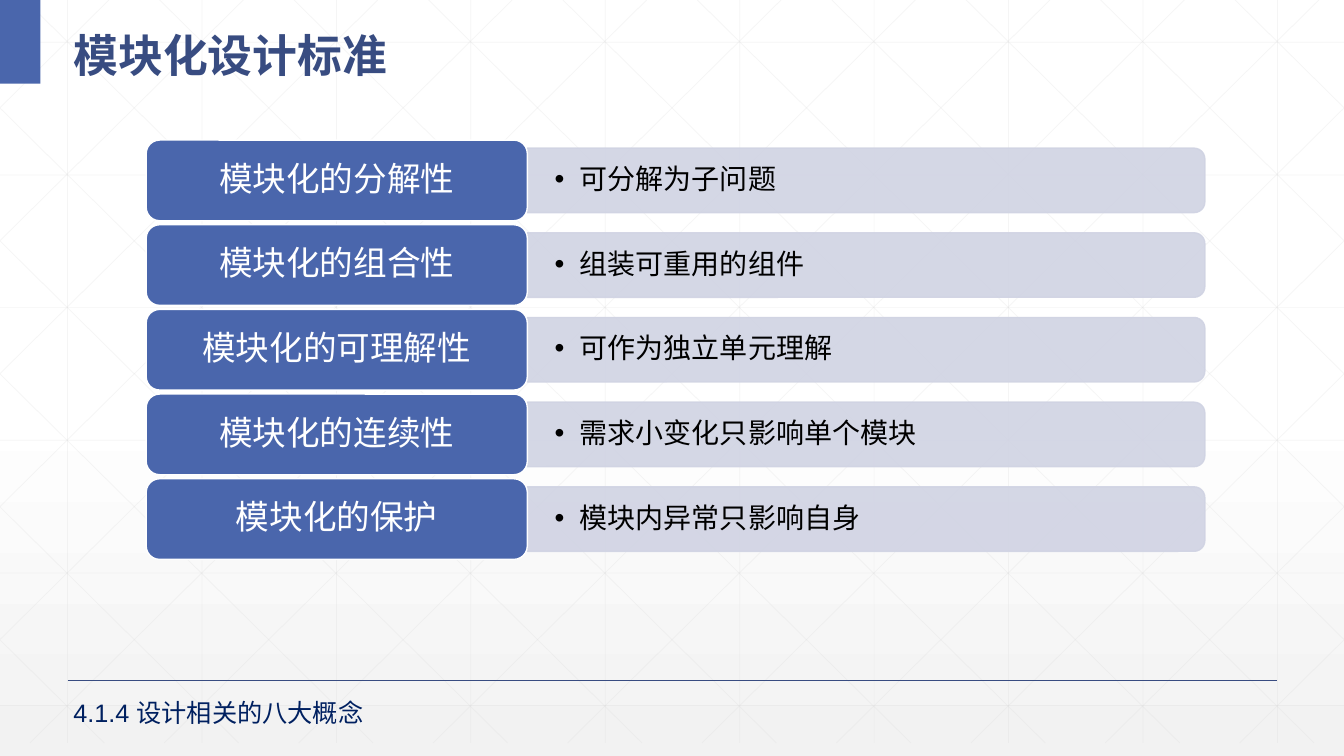
"""Build the slide on modular design criteria."""
from copy import deepcopy

from lxml import etree
from pptx import Presentation
from pptx.dml.color import RGBColor
from pptx.enum import shapes, text
from pptx.oxml.ns import qn
from pptx.util import Inches, Pt

WHITE = RGBColor(0xFF, 0xFF, 0xFF)
BLACK = RGBColor(0x00, 0x00, 0x00)
PALE_GREY = RGBColor(0xF2, 0xF2, 0xF2)
GRID_GREY = RGBColor(0xD9, 0xD9, 0xD9)
BLUE = RGBColor(0x4A, 0x66, 0xAC)
DARK_BLUE = RGBColor(0x38, 0x4C, 0x81)
NAVY = RGBColor(0x00, 0x20, 0x60)
LAVENDER = RGBColor(0xD0, 0xD3, 0xE3)
CJK_FONT = "Noto Sans CJK SC"
WIDTH, GRID_HEIGHT = 13.33, 7.37
GRID_STEP, DIAGONAL_RUN = 4 / 3, 7.45
CRITERIA = [
    ("模块化的分解性", "可分解为子问题"),
    ("模块化的组合性", "组装可重用的组件"),
    ("模块化的可理解性", "可作为独立单元理解"),
    ("模块化的连续性", "需求小变化只影响单个模块"),
    ("模块化的保护", "模块内异常只影响自身"),
]

presentation = Presentation()
presentation.slide_width = Inches(WIDTH)
presentation.slide_height = Inches(7.5)
slide = presentation.slides.add_slide(presentation.slide_layouts[6])


def add_line(x1, y1, x2, y2, color, width, opacity=100):
    line = slide.shapes.add_connector(
        shapes.MSO_CONNECTOR.STRAIGHT, Inches(x1), Inches(y1), Inches(x2), Inches(y2))
    line.line.color.rgb = color
    line.line.width = Pt(width)
    for element in line.element.iter(qn("a:srgbClr")):
        etree.SubElement(element, qn("a:alpha"), val=str(opacity * 1000))
    etree.SubElement(line.element.spPr, qn("a:effectLst"))


def write(shape, content, size, color, font_name="Arial", bold=False):
    frame = shape.text_frame
    frame.word_wrap = True
    frame.vertical_anchor = text.MSO_ANCHOR.MIDDLE
    frame.text = content
    paragraph = frame.paragraphs[0]
    font = paragraph.runs[0].font
    font.size = Pt(size)
    font.bold = bold
    font.color.rgb = color
    font.name = font_name
    properties = paragraph.runs[0].font._element
    etree.SubElement(properties, qn("a:ea"), typeface=CJK_FONT)
    return paragraph


background = slide.background.fill
background.gradient()
background.gradient_angle = 270
first_stop, last_stop = background.gradient_stops
first_stop.color.rgb, first_stop.position = WHITE, 0
last_stop.color.rgb, last_stop.position = PALE_GREY, 1
stop_list = next(slide.element.iter(qn("a:gsLst")))
middle_stop = deepcopy(stop_list[0])
middle_stop.set("pos", "53000")
stop_list.insert(1, middle_stop)

for column in range(10):
    x = 0.67 + column * GRID_STEP
    add_line(x, 0, x, GRID_HEIGHT, GRID_GREY, 0.5, 25)
for row in range(6):
    y = 0.42 + row * 1.316
    add_line(0, y, WIDTH, y, GRID_GREY, 0.5, 25)
for diagonal in range(-5, 10):
    origin = 0.25 + diagonal * GRID_STEP
    start, end = max(origin, 0), min(origin + DIAGONAL_RUN, WIDTH)
    top, bottom = [(x - origin) * GRID_HEIGHT / DIAGONAL_RUN for x in (start, end)]
    add_line(start, top, end, bottom, GRID_GREY, 0.5, 25)
    add_line(WIDTH - start, top, WIDTH - end, bottom, GRID_GREY, 0.5, 25)

add_line(0.67, 6.75, 12.67, 6.75, DARK_BLUE, 1)
corner = slide.shapes.add_shape(
    shapes.MSO_SHAPE.RECTANGLE, 0, 0, Inches(0.4), Inches(0.83))
corner.shadow.inherit = False
corner.fill.solid()
corner.fill.fore_color.rgb = BLUE
corner.line.fill.background()

title = slide.shapes.add_textbox(Inches(0.63), Inches(0.1), Inches(12.42), Inches(0.73))
write(title, "模块化设计标准", 32, DARK_BLUE, CJK_FONT, True).line_spacing = 1.3

for index, (criterion, meaning) in enumerate(CRITERIA):
    top = 1.39 + index * 0.84
    bar = slide.shapes.add_shape(
        shapes.MSO_SHAPE.ROUND_2_SAME_RECTANGLE,
        Inches(8.27), Inches(top - 2.96), Inches(0.64), Inches(6.72))
    bar.rotation = 90
    label = slide.shapes.add_shape(
        shapes.MSO_SHAPE.ROUNDED_RECTANGLE,
        Inches(1.45), Inches(top), Inches(3.78), Inches(0.8))
    for shape, fill, outline in ((bar, LAVENDER, LAVENDER), (label, BLUE, WHITE)):
        shape.shadow.inherit = False
        shape.fill.solid()
        shape.fill.fore_color.rgb = fill
        shape.line.color.rgb = outline
        shape.line.width = Pt(1)
    for element in bar.element.iter(qn("a:srgbClr")):
        etree.SubElement(element, qn("a:alpha"), val="90000")
    heading = write(label, criterion, 24, WHITE)
    heading.alignment = text.PP_ALIGN.CENTER
    heading.line_spacing = 0.9

    detail = slide.shapes.add_textbox(
        Inches(5.23), Inches(top + 0.11), Inches(6.69), Inches(0.58))
    paragraph = write(detail, meaning, 20, BLACK)
    frame = detail.text_frame
    frame.margin_left = frame.margin_right = Inches(0.27)
    frame.margin_top = frame.margin_bottom = Inches(0.14)
    paragraph.line_spacing = 0.9
    properties = paragraph._p.get_or_add_pPr()
    properties.set("marL", str(Inches(0.25)))
    properties.set("indent", str(Inches(-0.25)))
    etree.SubElement(properties, qn("a:buFont"), typeface="Arial")
    etree.SubElement(properties, qn("a:buChar"), char="•")

footer = slide.shapes.add_textbox(Inches(0.63), Inches(6.87), Inches(3.78), Inches(0.4))
write(footer, "4.1.4 设计相关的八大概念", 18, NAVY)

presentation.save("out.pptx")
